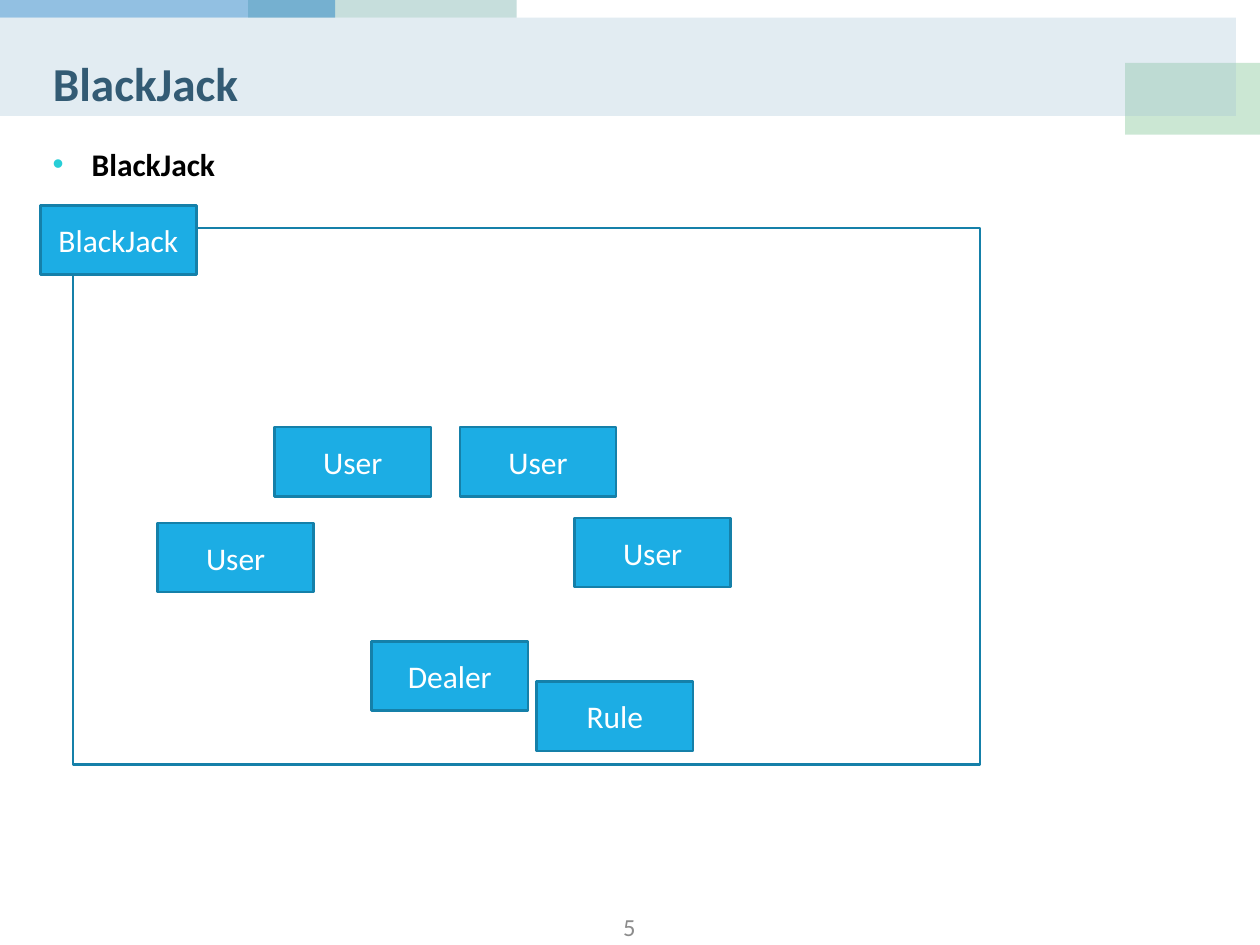
from lxml import etree
from pptx import Presentation
from pptx import util as u
from pptx.dml.color import RGBColor
from pptx.enum import shapes, text
from pptx.oxml.ns import qn

COLORS = {
    "sage": "A1C8C5",
    "blue": "2683C6",
    "green": "7EC492",
    "mist": "A0C1D5",
    "title": "335B74",
    "body": "000000",
    "bullet": "27CED7",
    "card": "1CADE4",
    "outline": "1580A9",
    "white": "FFFFFF",
    "number": "8C8C8C",
}
FONT = "Calibri"
CARD_SIZE = (1.24, 0.55)

BANDS = [
    ((1.97, 0, 2.13, 0.14), "sage", 60),
    ((0, 0, 2.66, 0.14), "blue", 50),
    ((8.93, 0.5, 1.07, 0.57), "green", 40),
    ((0, 0.14, 9.81, 0.78), "mist", 30),
]
PLAYERS = [
    ("User", 0.67, 2.34),
    ("Dealer", 2.37, 3.28),
    ("User", 1.6, 1.58),
    ("User", 3.07, 1.58),
    ("User", 3.98, 2.3),
    ("Rule", 3.68, 3.6),
]


def color(name):
    return RGBColor.from_string(COLORS[name])


def inches(box):
    return [u.Inches(length) for length in box]


def style_text(para, size, color_name, bold=False):
    para.font.name = FONT
    para.font.size = u.Pt(size)
    para.font.bold = bold
    para.font.color.rgb = color(color_name)


def add_rectangle(page, box, fill=None, line=None):
    shape = page.shapes.add_shape(shapes.MSO_SHAPE.RECTANGLE, *inches(box))
    shape.shadow.inherit = False
    if fill:
        shape.fill.solid()
        shape.fill.fore_color.rgb = color(fill)
    else:
        shape.fill.background()
    if line:
        shape.line.color.rgb = color(line)
        shape.line.width = u.Pt(1.5)
    else:
        shape.line.fill.background()
    return shape


def add_bands(page):
    for box, fill, opacity in BANDS:
        band = add_rectangle(page, box, fill)
        tint = band.element.spPr.find(qn("a:solidFill"))[0]
        etree.SubElement(tint, qn("a:alpha"), val=str(opacity * 1000))


def add_title(page, box, words):
    title = page.shapes.title
    page.shapes.element.append(title.element)
    title.left, title.top, title.width, title.height = inches(box)
    frame = title.text_frame
    frame.text = words
    frame.auto_size = text.MSO_AUTO_SIZE.NONE
    frame.vertical_anchor = text.MSO_ANCHOR.MIDDLE
    para = frame.paragraphs[0]
    para.alignment = text.PP_ALIGN.LEFT
    para.line_spacing = 1.5
    style_text(para, 27, "title", bold=True)


def add_text(page, box, words, size, color_name, bold=False):
    frame = page.shapes.add_textbox(*inches(box)).text_frame
    frame.word_wrap = True
    para = frame.paragraphs[0]
    para.text = words
    style_text(para, size, color_name, bold)
    return frame


def add_bullet_text(page, box, words):
    para = add_text(page, box, words, 18, "body", bold=True).paragraphs[0]
    para.line_spacing = 1.5
    properties = para._p.get_or_add_pPr()
    indent = u.Inches(0.31)
    properties.set("marL", str(indent))
    properties.set("indent", str(-indent))
    bullet_color = etree.SubElement(properties, qn("a:buClr"))
    etree.SubElement(bullet_color, qn("a:srgbClr"), val=COLORS["bullet"])
    etree.SubElement(properties, qn("a:buFont"), typeface="Arial")
    etree.SubElement(properties, qn("a:buChar"), char="•")
    default_run = properties.find(qn("a:defRPr"))
    if default_run is not None:
        properties.append(default_run)


def add_page_number(page, box, number):
    frame = add_text(page, box, number, 14, "number")
    frame.vertical_anchor = text.MSO_ANCHOR.MIDDLE
    frame.paragraphs[0].alignment = text.PP_ALIGN.CENTER


def add_card(page, left, top, words):
    card = add_rectangle(page, (left, top, *CARD_SIZE), "card", "outline")
    frame = card.text_frame
    frame.vertical_anchor = text.MSO_ANCHOR.MIDDLE
    para = frame.paragraphs[0]
    para.text = words
    para.alignment = text.PP_ALIGN.CENTER
    style_text(para, 18, "white")


def add_game_table(page, box):
    left, top = box[:2]
    for role, across, down in PLAYERS:
        add_card(page, left + across, top + down, role)
    add_rectangle(page, box, line="outline")
    add_card(page, left - 0.26, top - 0.18, "BlackJack")


def main():
    deck = Presentation()
    deck.slide_width, deck.slide_height = u.Inches(10), u.Inches(7.5)
    page = deck.slides.add_slide(deck.slide_layouts[5])
    add_bands(page)
    add_page_number(page, (3.83, 7.22, 2.33, 0.27), "5")
    add_title(page, (0.32, 0.2, 9.34, 0.69), "BlackJack")
    add_bullet_text(page, (0.32, 0.95, 9.34, 0.51), "BlackJack")
    add_game_table(page, (0.58, 1.81, 7.2, 4.26))
    deck.save("out.pptx")


if __name__ == "__main__":
    main()
